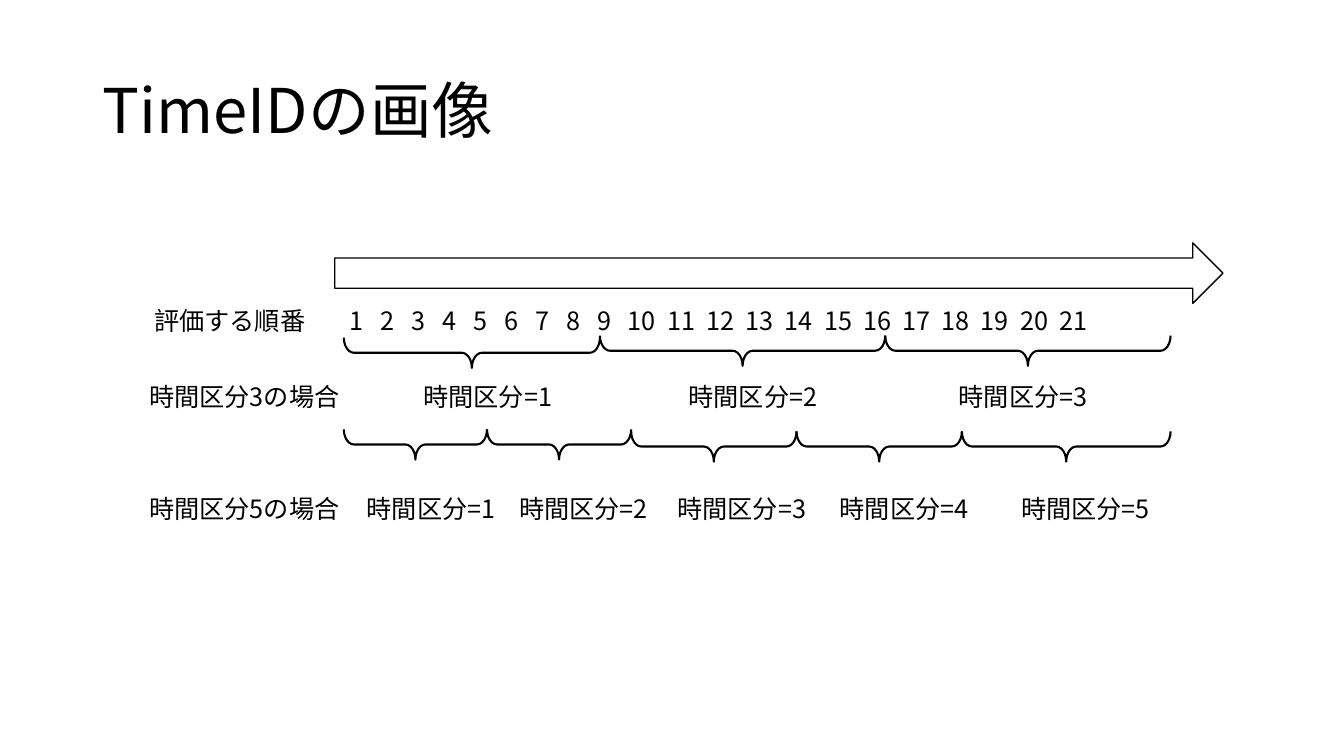
from lxml import etree
from pptx import Presentation
from pptx import util as u
from pptx.dml import color
from pptx.enum import shapes, text
from pptx.oxml import ns


def hue(code):
    return color.RGBColor.from_string(code)


class Board:
    font = "Noto Sans CJK JP"
    ink = "000000"
    paper = "FFFFFF"

    def __init__(self, deck):
        self.page = deck.slides.add_slide(deck.slide_layouts[5])

    def style(self, para, size):
        for run in para.runs:
            run.font.name = self.font
            run.font.size = u.Pt(size)
            run.font.color.rgb = hue(self.ink)
            east = etree.SubElement(run.font._element, ns.qn("a:ea"))
            east.set("typeface", self.font)

    def title(self, words):
        head = self.page.shapes.title
        head.left, head.top = u.Inches(0.92), u.Inches(0.4)
        head.width, head.height = u.Inches(11.5), u.Inches(1.45)
        frame = head.text_frame
        frame.text = words
        frame.auto_size = text.MSO_AUTO_SIZE.NONE
        frame.vertical_anchor = text.MSO_ANCHOR.MIDDLE
        para = frame.paragraphs[0]
        para.alignment = text.PP_ALIGN.LEFT
        para.line_spacing = 0.9
        self.style(para, 44)

    def row(self, left, top, width, label, cells, stops):
        box = self.page.shapes.add_textbox(
            u.Inches(left), u.Inches(top), u.Inches(width), u.Inches(0.4))
        frame = box.text_frame
        frame.word_wrap = True
        frame.auto_size = text.MSO_AUTO_SIZE.SHAPE_TO_FIT_TEXT
        frame.text = "\t".join([label, *cells])
        para = frame.paragraphs[0]
        tabs = etree.SubElement(para._p.get_or_add_pPr(), ns.qn("a:tabLst"))
        for stop in stops:
            tab = etree.SubElement(tabs, ns.qn("a:tab"))
            tab.set("pos", str(u.Inches(stop)))
            tab.set("algn", "l")
        self.style(para, 18)

    def shape(self, kind, left, top, width, height, line):
        item = self.page.shapes.add_shape(
            kind, u.Inches(left), u.Inches(top), u.Inches(width), u.Inches(height))
        item.shadow.inherit = False
        item.line.color.rgb = hue(self.ink)
        item.line.width = u.Pt(line)
        return item

    def arrow(self, left, top, width, height):
        item = self.shape(shapes.MSO_SHAPE.RIGHT_ARROW, left, top, width, height, 1)
        item.fill.solid()
        item.fill.fore_color.rgb = hue(self.paper)

    def brace(self, start, end, mid):
        depth, span = 0.3, end - start
        item = self.shape(shapes.MSO_SHAPE.RIGHT_BRACE, (start + end - depth) / 2,
                          mid - span / 2, depth, span, 1.5)
        item.rotation = 90
        item.adjustments[0] = 0.333
        item.fill.background()


def main():
    deck = Presentation()
    deck.slide_width, deck.slide_height = u.Inches(13.33), u.Inches(7.5)
    board = Board(deck)
    board.title("TimeIDの画像")
    board.arrow(3.32, 2.41, 8.81, 0.6)

    ones = [1.94 + 0.307 * i for i in range(9)]
    tens = [4.7 + 0.389 * i for i in range(12)]
    board.row(1.43, 2.98, 10.58, "評価する順番",
              [str(n) for n in range(1, 22)], ones + tens)

    groups = [
        (3.73, [2.72, 5.35, 8.03], [3.41, 5.95, 8.78, 11.61], [3.5, 3.48, 3.48]),
        (4.84, [2.16, 3.67, 5.24, 6.85, 8.65],
         [3.41, 4.83, 6.26, 7.9, 9.54, 11.61], [4.41, 4.41, 4.43, 4.43, 4.43]),
    ]
    for top, stops, edges, mids in groups:
        count = len(stops)
        cells = [f"時間区分={n}" for n in range(1, count + 1)]
        board.row(1.38, top, 10.74, f"時間区分{count}の場合", cells, stops)
        for start, end, mid in zip(edges, edges[1:], mids):
            board.brace(start, end, mid)

    deck.save("out.pptx")


if __name__ == "__main__":
    main()
